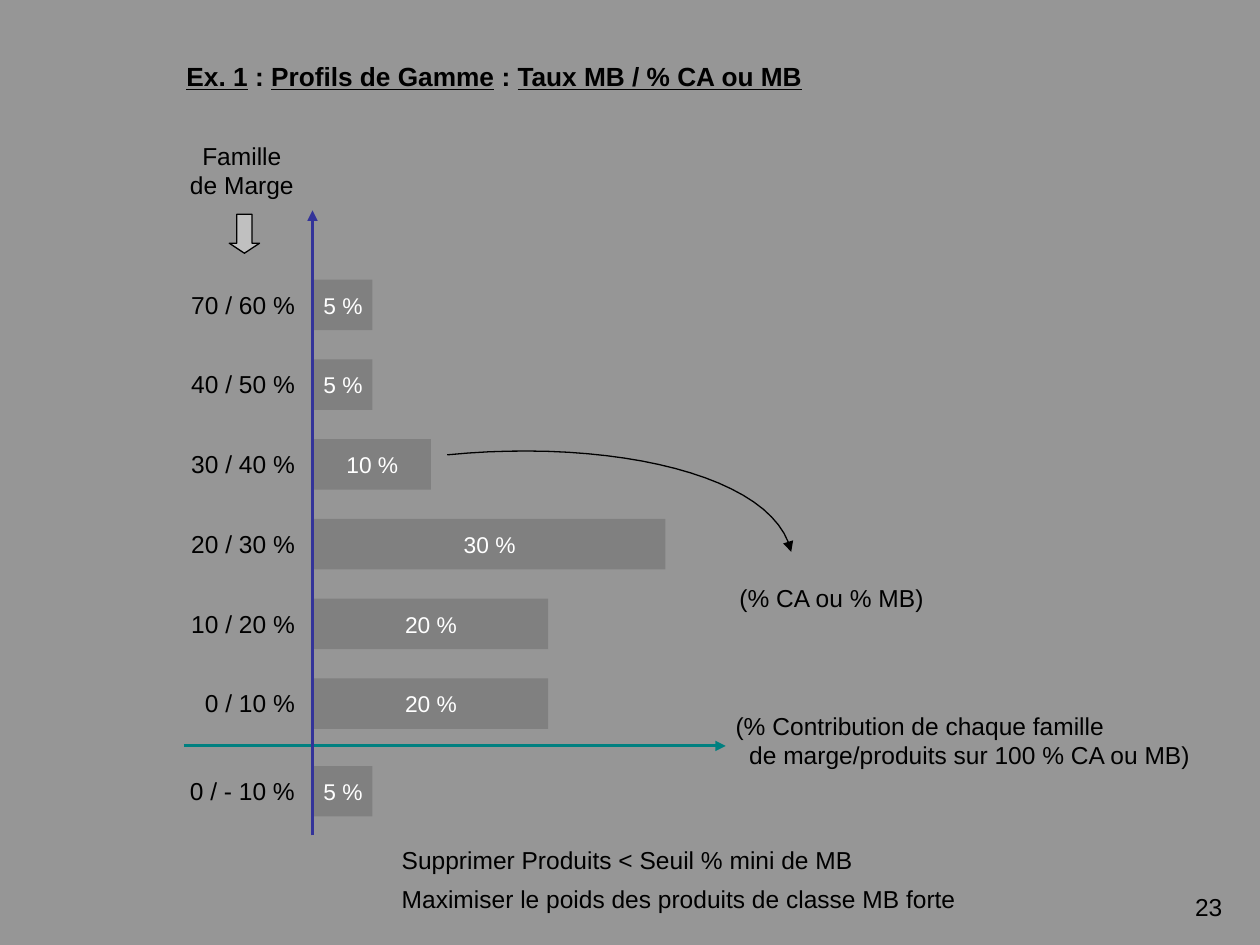
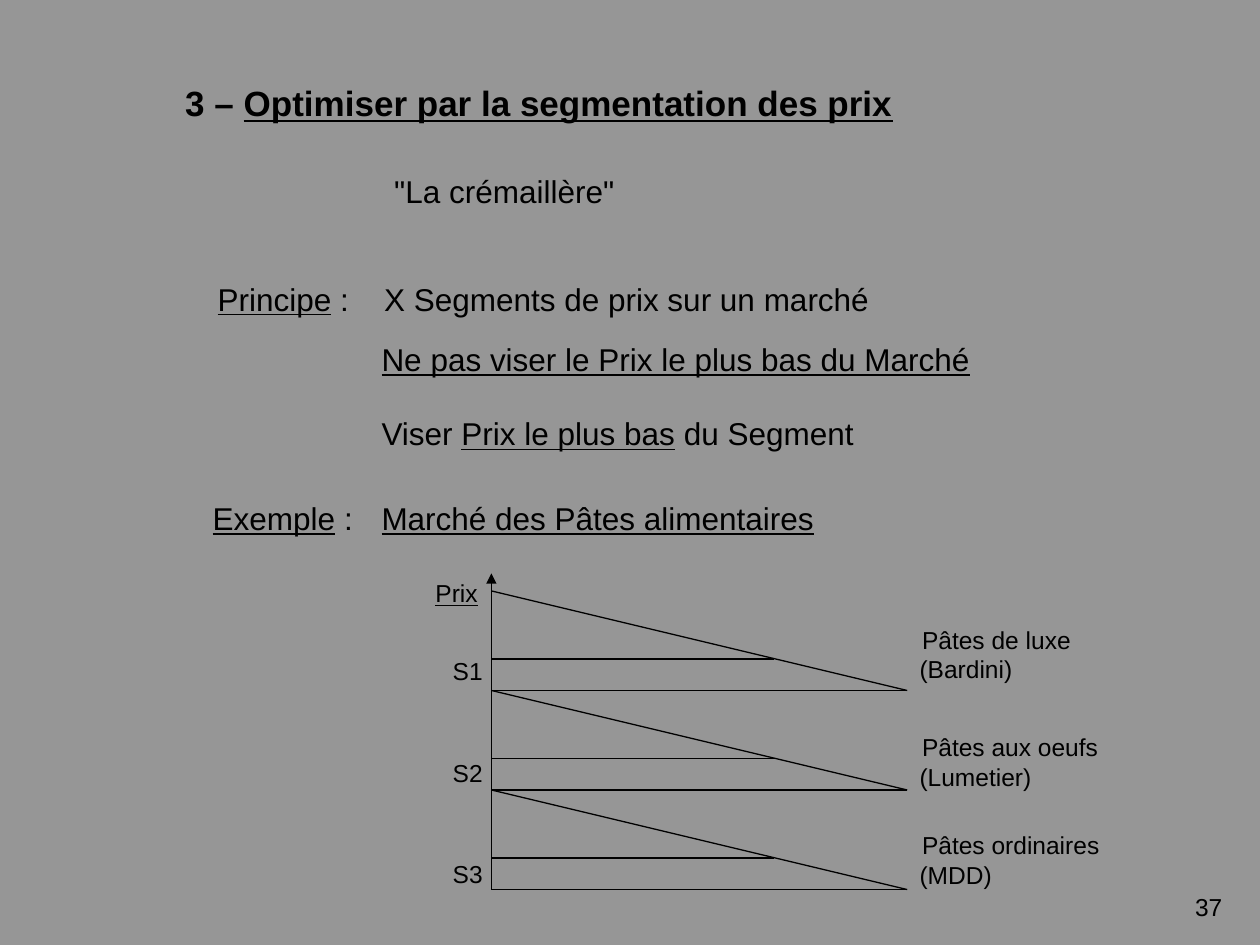
from dataclasses import dataclass
from typing import NamedTuple

import pptx
import pptx.dml.color
import pptx.enum.shapes
import pptx.enum.text
import pptx.oxml
import pptx.oxml.ns
import pptx.util

SHAPE = pptx.enum.shapes.MSO_SHAPE
ALIGN = pptx.enum.text.PP_ALIGN
ANCHOR = pptx.enum.text.MSO_ANCHOR
AUTO = pptx.enum.text.MSO_AUTO_SIZE
qn = pptx.oxml.ns.qn


@dataclass(frozen=True)
class Theme:
    font: str = "Arial"
    background: str = "969696"
    ink: str = "000000"
    light: str = "FFFFFF"
    bar: str = "808080"
    marker: str = "C0C0C0"
    margin_axis: str = "333399"
    share_axis: str = "008080"
    bar_size: int = 13
    small: int = 14
    example_title: int = 15
    body: int = 18
    section_title: int = 20
    thin: float = 0.75


THEME = Theme()

# Grid of 100 columns by 75 rows over the whole slide
WIDTH, HEIGHT = pptx.util.Inches(10), pptx.util.Inches(7.5)
COLS, ROWS = 100, 75


class Box(NamedTuple):
    col: float
    row: float
    cols: float
    rows: float


class Family(NamedTuple):
    label: str
    percent: int
    middle: float


class Segment(NamedTuple):
    code: str
    name: str
    brand: str
    name_row: float


class Line(NamedTuple):
    text: str
    box: Box


def x(col: float) -> int:
    return round(WIDTH * col / COLS)


def y(row: float) -> int:
    return round(HEIGHT * row / ROWS)


def place(box: Box) -> tuple[int, int, int, int]:
    return x(box.col), y(box.row), x(box.cols), y(box.rows)


def rgb(value: str) -> pptx.dml.color.RGBColor:
    return pptx.dml.color.RGBColor.from_string(value)


# Text: underscores enclose underlined words, a line feed starts a paragraph
def write(tf, text: str, *, size: float = THEME.small, color: str = THEME.ink,
          bold: bool = False, align=ALIGN.LEFT, anchor=ANCHOR.TOP,
          spacing: float = 1, wrap: bool = False, grow: bool = True) -> None:
    tf.word_wrap = wrap
    tf.auto_size = AUTO.SHAPE_TO_FIT_TEXT if grow else AUTO.NONE
    tf.vertical_anchor = anchor
    tf.margin_left = tf.margin_right = pptx.util.Inches(0.1)
    tf.margin_top = tf.margin_bottom = pptx.util.Inches(0.05)
    for i, line in enumerate(text.split("\n")):
        p = tf.add_paragraph() if i else tf.paragraphs[0]
        p.alignment, p.line_spacing = align, spacing
        for j, part in enumerate(line.split("_")):
            if part:
                r = p.add_run()
                r.text = part
                r.font.name, r.font.size = THEME.font, pptx.util.Pt(size)
                r.font.bold, r.font.underline = bold, j % 2 == 1
                r.font.color.rgb = rgb(color)


def add_text(s, text: str, box: Box, **style):
    sp = s.shapes.add_textbox(*place(box))
    write(sp.text_frame, text, **style)
    return sp


def add_block(s, kind, box: Box, fill: str, line: str | None = None):
    sp = s.shapes.add_shape(kind, *place(box))
    sp.shadow.inherit = False
    sp.fill.solid()
    sp.fill.fore_color.rgb = rgb(fill)
    if line:
        draw_line(sp, line, THEME.thin)
    else:
        sp.line.fill.background()
    return sp


def draw_line(sp, color: str, width: float, arrow: bool = False) -> None:
    sp.line.color.rgb = rgb(color)
    sp.line.width = pptx.util.Pt(width)
    if arrow:
        ln = sp._element.spPr.find(qn("a:ln"))
        ln.append(pptx.oxml.parse_xml(
            '<a:tailEnd xmlns:a="http://schemas.openxmlformats.org/drawingml/2006/main"'
            ' type="triangle"/>'))


def add_line(s, start: tuple[float, float], end: tuple[float, float], *,
             color: str = THEME.ink, width: float = THEME.thin,
             arrow: bool = False) -> None:
    c = s.shapes.add_connector(pptx.enum.shapes.MSO_CONNECTOR.STRAIGHT,
                               x(start[0]), y(start[1]), x(end[0]), y(end[1]))
    draw_line(c, color, width, arrow)
    c._element.spPr.append(pptx.oxml.parse_xml(
        '<a:effectLst xmlns:a="http://schemas.openxmlformats.org/drawingml/2006/main"/>'))


def add_curve(s, controls: list[tuple[float, float]], steps: int = 24) -> None:
    """Draw a cubic curve with an arrowhead as a fine open outline."""
    points = []
    for i in range(steps + 1):
        t = i / steps
        weights = ((1 - t) ** 3, 3 * t * (1 - t) ** 2, 3 * t * t * (1 - t), t ** 3)
        points.append((x(sum(w * c for w, (c, _) in zip(weights, controls))),
                       y(sum(w * r for w, (_, r) in zip(weights, controls)))))
    builder = s.shapes.build_freeform(*points[0])
    builder.add_line_segments(points[1:], close=False)
    sp = builder.convert_to_shape()
    sp.shadow.inherit = False
    sp.fill.background()
    draw_line(sp, THEME.ink, THEME.thin, arrow=True)


def add_slide(prs, title: str, box: Box, size: float, number: int):
    s = prs.slides.add_slide(prs.slide_layouts[5])
    sp = s.shapes.title
    sp.left, sp.top, sp.width, sp.height = place(box)
    write(sp.text_frame, title, size=size, bold=True, wrap=True)
    add_text(s, str(number), Box(74.7, 70.3, 23.3, 5.2),
             align=ALIGN.RIGHT, wrap=True, grow=False)
    return s


# Slide 1: share of each margin family
AXIS_COL, SHARE_ROW = 24.8, 59.2
COLS_PER_PERCENT = 0.93
FIRST_BAR, BAR_PITCH, BAR_ROWS = 24.2, 6.33, 4
SHARES = [("70 / 60 %", 5), ("40 / 50 %", 5), ("30 / 40 %", 10),
          ("20 / 30 %", 30), ("10 / 20 %", 20), ("0 / 10 %", 20)]
FAMILIES = [Family(label, percent, FIRST_BAR + i * BAR_PITCH)
            for i, (label, percent) in enumerate(SHARES)]
FAMILIES.append(Family("0 / - 10 %", 5, 62.8))


def build_margin_profile(prs) -> None:
    s = add_slide(prs, "_Ex. 1_ : _Profils de Gamme_ : _Taux MB / % CA ou MB_",
                  Box(13.8, 4.3, 62, 3.5), THEME.example_title, 23)

    # Bars and axes
    add_line(s, (14.6, SHARE_ROW), (57.6, SHARE_ROW),
             color=THEME.share_axis, width=1.75, arrow=True)
    for family in FAMILIES:
        bar = add_block(s, SHAPE.RECTANGLE,
                        Box(AXIS_COL + 0.1, family.middle - BAR_ROWS / 2,
                            family.percent * COLS_PER_PERCENT, BAR_ROWS), THEME.bar)
        write(bar.text_frame, f"{family.percent} %", size=THEME.bar_size,
              color=THEME.light, align=ALIGN.CENTER, anchor=ANCHOR.MIDDLE, grow=False)
        add_text(s, family.label, Box(8.4, family.middle - 1.7, 16, 3.4),
                 align=ALIGN.RIGHT, wrap=True)
    add_line(s, (AXIS_COL, 66.3), (AXIS_COL, 16.7),
             color=THEME.margin_axis, width=1.5, arrow=True)

    # Heading of the family column
    add_text(s, "Famille\nde Marge", Box(11.2, 10.7, 16, 5.7),
             align=ALIGN.CENTER, wrap=True)
    arrow = add_block(s, SHAPE.DOWN_ARROW, Box(18.2, 17, 2.4, 3.1),
                      THEME.marker, THEME.ink)
    arrow.adjustments[0], arrow.adjustments[1] = 0.5, 0.33

    # Explanations
    add_curve(s, [(35.5, 36.1), (48.6, 34.8), (61.5, 37.7), (62.8, 43.8)])
    add_text(s, "(% CA ou % MB)", Box(57.7, 45.8, 22, 3.4), wrap=True)
    share_note = add_text(
        s, "(% Contribution de chaque famille\nde marge/produits sur 100 % CA ou MB)",
        Box(57.4, 55.9, 41, 5.7), wrap=True)
    second = share_note.text_frame.paragraphs[1]
    second._p.get_or_add_pPr().set("marL", str(x(1.08)))
    add_text(s, "Supprimer Produits < Seuil % mini de MB\n"
                "Maximiser le poids des produits de classe MB forte",
             Box(30.9, 65.9, 52, 7.1), spacing=1.3, wrap=True)


# Slide 2: price segments
PRICE_COL, TICK_END, SLOPE_END = 39, 61.4, 72
FIRST_BASE, BASE_PITCH = 54.8, 7.9
SEGMENTS = [Segment("S1", "Pâtes de luxe", "(Bardini)", 49.1),
            Segment("S2", "Pâtes aux oeufs", "(Lumetier)", 57.6),
            Segment("S3", "Pâtes ordinaires", "(MDD)", 65.4)]
PRINCIPLES = [Line("_Principe_ :", Box(16.3, 18.7, 18, 7)),
              Line("X Segments de prix sur un marché", Box(29.5, 18.7, 60, 7)),
              Line("_Ne pas viser le Prix le plus bas du Marché_",
                   Box(29.3, 23.5, 60, 7)),
              Line("Viser _Prix le plus bas_ du Segment", Box(29.3, 29.4, 60, 7)),
              Line("_Exemple_ :", Box(15.9, 36.1, 18, 7)),
              Line("_Marché des Pâtes alimentaires_", Box(29.3, 36.1, 60, 7))]


def build_price_segments(prs) -> None:
    s = add_slide(prs, "3 – _Optimiser par la segmentation des prix_",
                  Box(13.7, 6, 72, 4.4), THEME.section_title, 37)
    add_text(s, '"La crémaillère"', Box(30.3, 13.2, 26, 4), size=THEME.body, wrap=True)
    for line in PRINCIPLES:
        add_text(s, line.text, line.box, size=THEME.body, spacing=2, wrap=True)

    # Rack of falling prices, one step per segment
    add_text(s, "_Prix_", Box(28.9, 45.4, 10, 3.4), align=ALIGN.RIGHT, wrap=True)
    add_line(s, (PRICE_COL, 70.6), (PRICE_COL, 45.5), arrow=True)
    for i, segment in enumerate(SEGMENTS):
        base = FIRST_BASE + i * BASE_PITCH
        add_line(s, (PRICE_COL, base), (SLOPE_END, base))
        add_line(s, (PRICE_COL, base - BASE_PITCH), (SLOPE_END, base))
        add_line(s, (PRICE_COL, base - 2.5), (TICK_END, base - 2.5))
        add_text(s, segment.code, Box(29.3, 51.6 + 8.05 * i, 10, 3.4),
                 align=ALIGN.RIGHT, wrap=True)
        add_text(s, segment.name, Box(72.2, segment.name_row, 24, 3.4), wrap=True)
        add_text(s, segment.brand, Box(72, segment.name_row + 2.35, 24, 3.4), wrap=True)


def main() -> None:
    prs = pptx.Presentation()
    prs.slide_width, prs.slide_height = WIDTH, HEIGHT
    fill = prs.slide_master.background.fill
    fill.solid()
    fill.fore_color.rgb = rgb(THEME.background)
    build_margin_profile(prs)
    build_price_segments(prs)
    prs.save("out.pptx")


if __name__ == "__main__":
    main()
